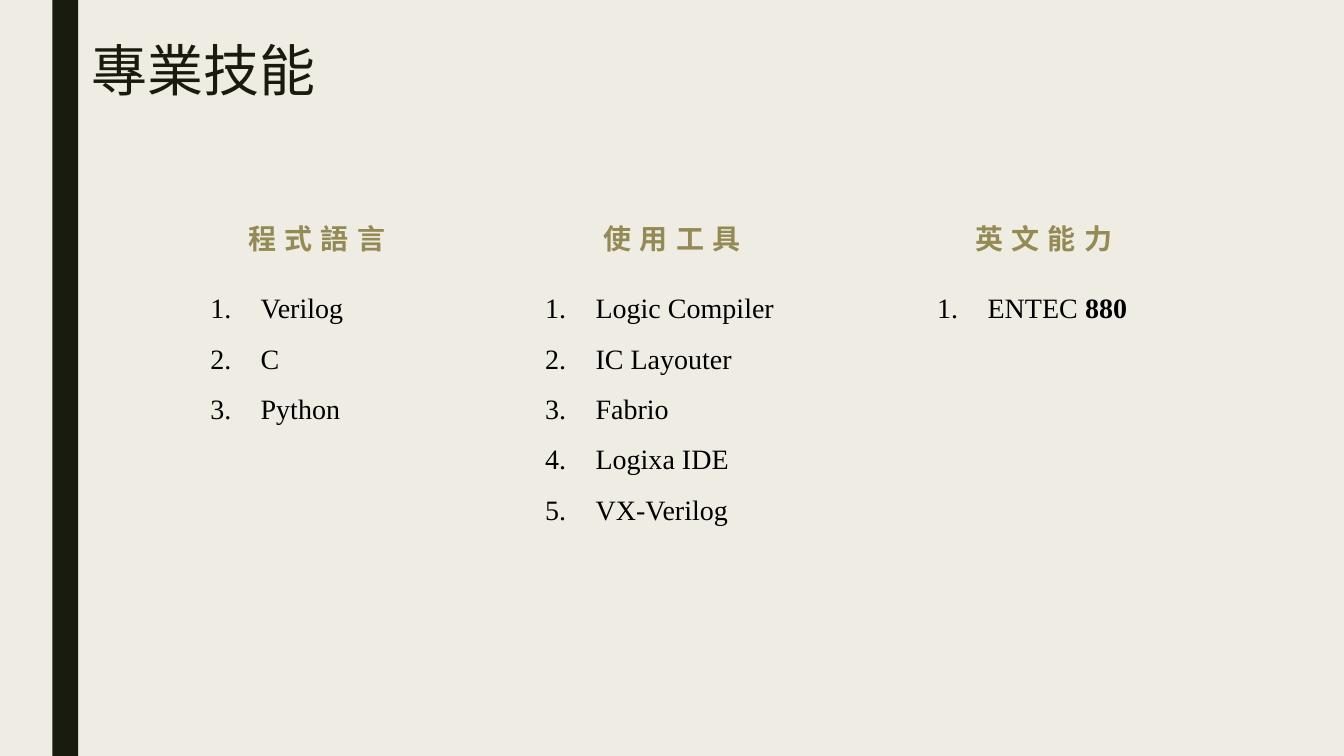
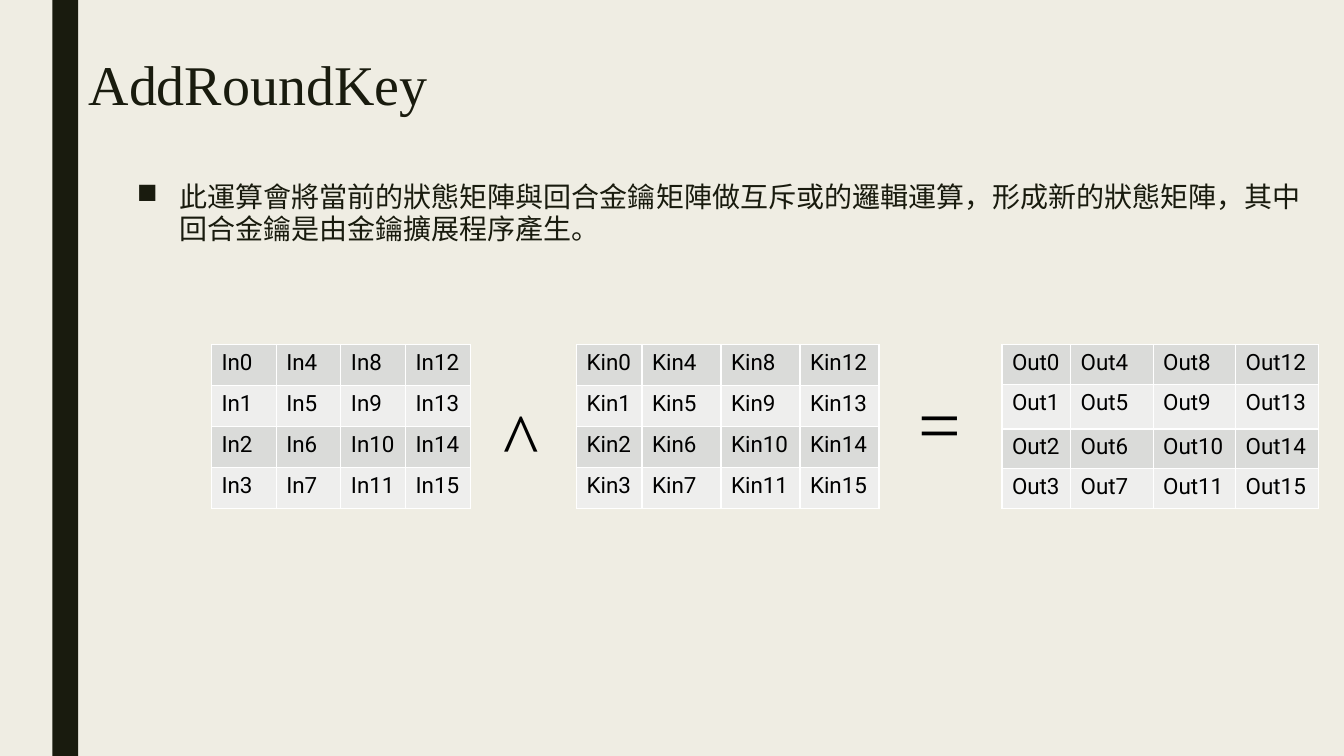
from dataclasses import dataclass

from lxml import etree
from pptx import Presentation
from pptx import util as u
from pptx.dml.color import RGBColor
from pptx.enum import shapes, text
from pptx.oxml import ns

Cm, Pt = u.Cm, u.Pt


@dataclass(frozen=True)
class Theme:
    paper: str = "EFEDE3"
    ink: str = "191B0E"
    accent: str = "948A55"
    black: str = "000000"
    border: str = "FFFFFF"
    stripes: tuple = ("DADBD9", "EEEEED")
    serif: str = "Times New Roman"
    sans: str = "Roboto"
    cjk: str = "Noto Sans CJK SC"
    title_size: int = 40
    body_size: int = 20
    cell_size: int = 16
    symbol_size: int = 54


def sub(parent, tag, **attrs):
    return etree.SubElement(parent, ns.qn(tag), attrs)


def paint(fill, color):
    fill.solid()
    fill.fore_color.rgb = RGBColor.from_string(color)


class Deck:
    def __init__(self, theme):
        self.theme = theme
        self.prs = Presentation()
        self.prs.slide_width, self.prs.slide_height = Cm(33.87), Cm(19.05)
        paint(self.prs.slide_master.background.fill, theme.paper)
        self.s = None

    def new_slide(self, title, *box):
        """Start a slide with its side band and its title at box."""
        t = self.theme
        self.s = self.prs.slides.add_slide(self.prs.slide_layouts[5])
        self.shape(shapes.MSO_SHAPE.RECTANGLE, t.ink, 1.32, 0, 0.65, 19.05)
        sp = self.s.shapes.title
        sp.left, sp.top, sp.width, sp.height = map(Cm, box)
        p = self.frame(sp).paragraphs[0]
        p.alignment, p.line_spacing = text.PP_ALIGN.LEFT, 0.89
        self.run(p, title, t.serif, t.title_size, t.ink)

    def shape(self, kind, color, *box):
        sp = self.s.shapes.add_shape(kind, *map(Cm, box))
        sp.shadow.inherit = False
        paint(sp.fill, color)
        sp.line.fill.background()
        return sp

    def frame(self, sp, **settings):
        tf = sp.text_frame
        values = {"word_wrap": True, "auto_size": text.MSO_AUTO_SIZE.NONE,
                  "vertical_anchor": text.MSO_ANCHOR.TOP}
        for name, value in {**values, **settings}.items():
            setattr(tf, name, value)
        return tf

    def run(self, p, words, font, size, color, bold=False):
        r = p.add_run()
        r.text = words
        for name, value in {"name": font, "size": Pt(size), "bold": bold}.items():
            setattr(r.font, name, value)
        r.font.color.rgb = RGBColor.from_string(color)
        return r

    def text_box(self, *box, **settings):
        return self.frame(self.s.shapes.add_textbox(*map(Cm, box)), **settings)

    def bullet(self, p, indent, tag, **attrs):
        pPr = p._p.get_or_add_pPr()
        pPr.set("marL", str(Cm(indent)))
        pPr.set("indent", str(-Cm(indent)))
        sub(pPr, tag, **attrs)

    def heading(self, words, *box):
        t = self.theme
        sp = self.shape(shapes.MSO_SHAPE.LINE_CALLOUT_4, t.paper, *box)
        p = self.frame(sp, vertical_anchor=text.MSO_ANCHOR.MIDDLE).paragraphs[0]
        p.alignment, p.line_spacing = text.PP_ALIGN.CENTER, 1.5
        rPr = self.run(p, words, t.cjk, t.body_size, t.accent, True).font._element
        rPr.set("spc", "600")
        sub(rPr, "a:ea", typeface=t.cjk)

    def numbered_list(self, items, *box):
        """Each item is a list of runs; every second run is bold."""
        t = self.theme
        tf = self.text_box(*box)
        for i, item in enumerate(items):
            p = tf.add_paragraph() if i else tf.paragraphs[0]
            self.bullet(p, 1.27, "a:buAutoNum", type="arabicPeriod")
            p.line_spacing = 1.5
            for j, words in enumerate(item):
                self.run(p, words, t.serif, t.body_size, t.black, j % 2 == 1)

    def body(self, words, *box):
        t = self.theme
        p = self.text_box(*box).paragraphs[0]
        self.bullet(p, 1.07, "a:buChar", char="■")
        p.line_spacing, p.space_after = 0.94, Pt(2)
        self.run(p, words, t.sans, t.body_size, t.ink)

    def symbol(self, sign, *box):
        t = self.theme
        p = self.text_box(*box, word_wrap=False).paragraphs[0]
        self.run(p, sign, t.serif, t.symbol_size, t.black)

    def matrix(self, prefix, left, top, cols, rows):
        """Table of prefixed indices, numbered down each column."""
        t = self.theme
        box = map(Cm, (left, top, sum(cols), sum(rows)))
        table = self.s.shapes.add_table(len(rows), len(cols), *box).table
        table.first_row = table.horz_banding = False
        for col, width in zip(table.columns, cols):
            col.width = Cm(width)
        for i, height in enumerate(rows):
            table.rows[i].height = Cm(height)
            for j in range(len(cols)):
                cell = table.cell(i, j)
                self.border(cell)
                paint(cell.fill, t.stripes[i % 2])
                self.run(cell.text_frame.paragraphs[0], f"{prefix}{i + len(rows) * j}",
                         t.sans, t.cell_size, t.black)

    def border(self, cell):
        tcPr = cell._tc.get_or_add_tcPr()
        for side in "LRTB":
            ln = sub(tcPr, f"a:ln{side}", w=str(Pt(1)))
            sub(sub(ln, "a:solidFill"), "a:srgbClr", val=self.theme.border)


def skills(deck):
    deck.new_slide("專業技能", 2.06, 0.97, 23.88, 2.18)
    columns = [
        ("程式語言", 5.05, 5.05, [["Verilog"], ["C"], ["Python"]]),
        ("使用工具", 14, 13.49, [["Logic Compiler"], ["IC Layouter"], ["Fabrio"],
                             ["Logixa IDE"], ["VX-Verilog"]]),
        ("英文能力", 23.37, 23.37, [["ENTEC ", "880"]]),
    ]
    for name, heading_left, list_left, items in columns:
        deck.heading(name, heading_left, 4.95, 5.87, 1.7)
        deck.numbered_list(items, list_left, 6.78, 7.37, 0.25 + 1.27 * len(items))


def add_round_key(deck):
    deck.new_slide("AddRoundKey", 1.98, 1.32, 23.88, 2.79)
    deck.body("此運算會將當前的狀態矩陣與回合金鑰矩陣做互斥或的邏輯運算，形成新的狀態矩陣，"
              "其中回合金鑰是由金鑰擴展程序產生。", 3.2, 4.47, 30.02, 2.79)
    even_rows = [1.03] * 4
    top = 8.69
    deck.matrix("In", 5.33, top, [1.63] * 4, even_rows)
    deck.symbol("^", 12.45, 9.73, 1.42, 2.57)
    deck.matrix("Kin", 14.53, top, [1.65] + [1.99] * 3, even_rows)
    deck.symbol("=", 22.89, 9.35, 1.6, 2.57)
    deck.matrix("Out", 25.25, top, [1.73] + [2.08] * 3, [1, 1.12, 1, 1])


def main():
    deck = Deck(Theme())
    skills(deck)
    add_round_key(deck)
    deck.prs.save("out.pptx")


if __name__ == "__main__":
    main()
